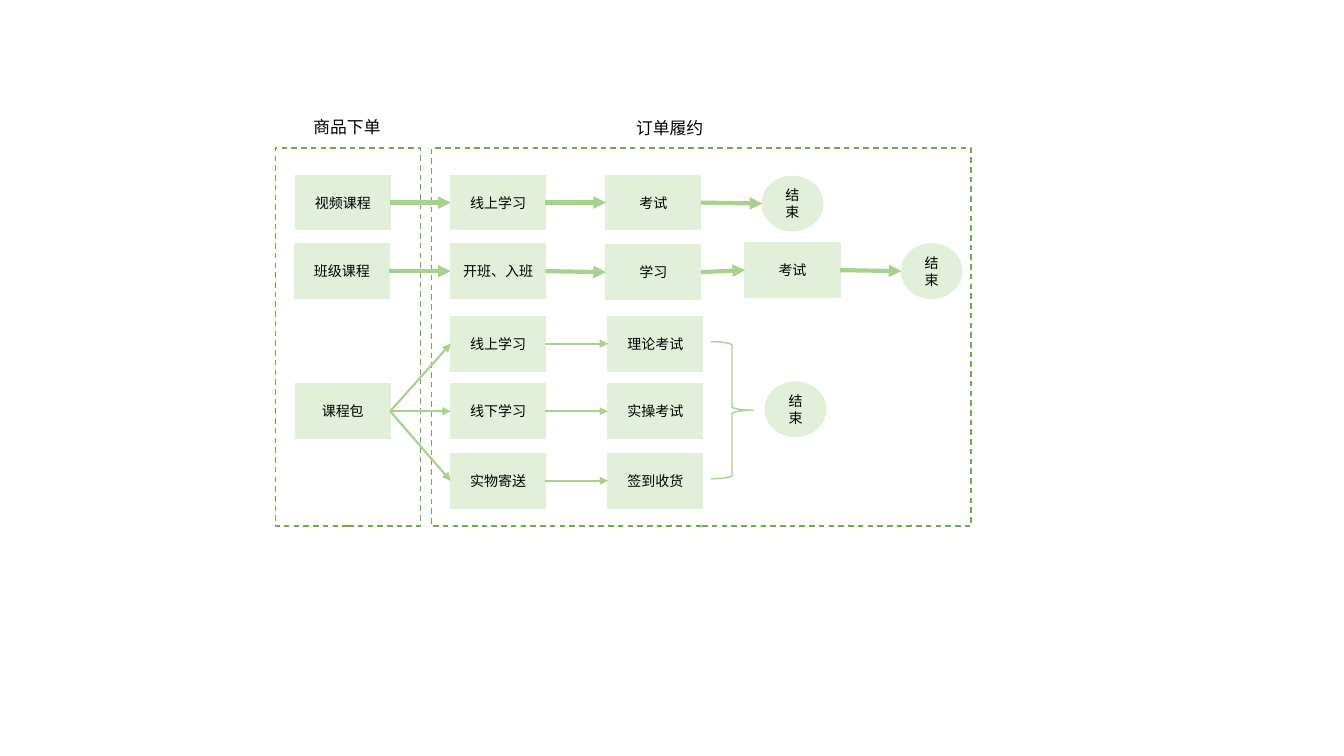
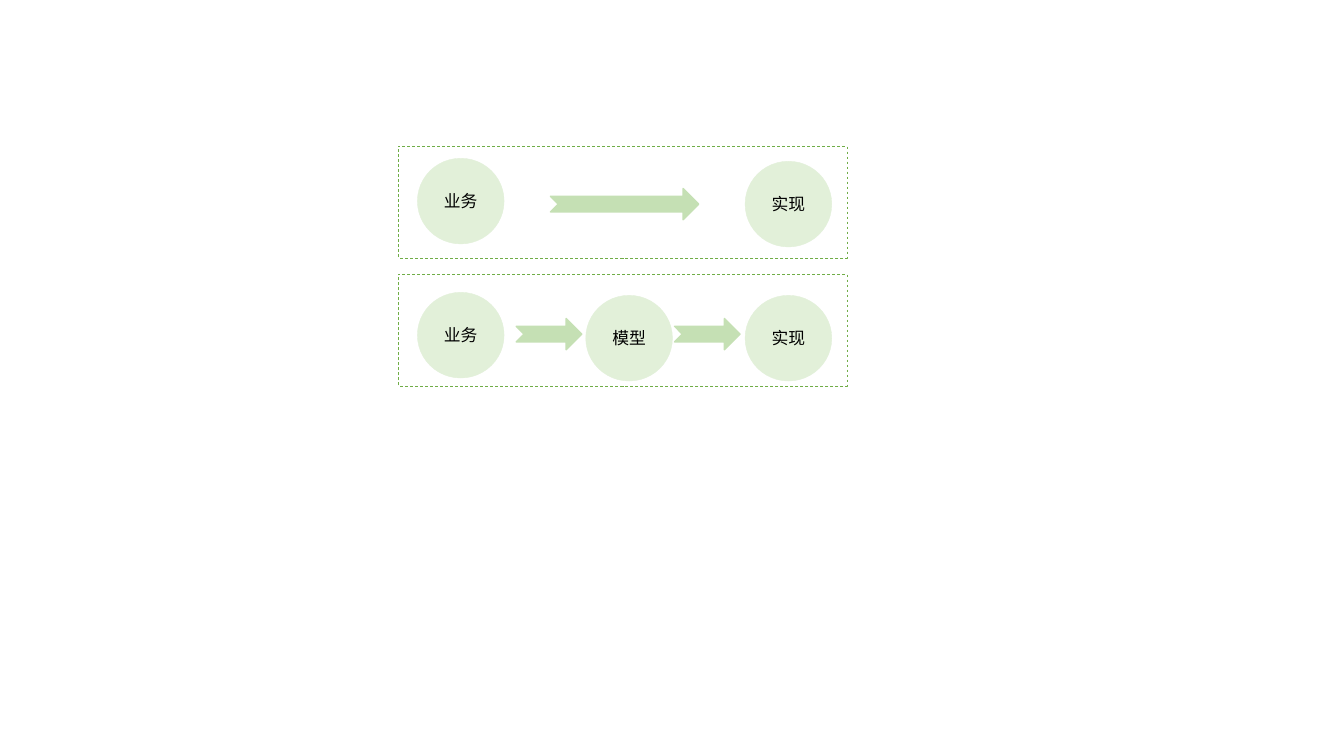
from itertools import pairwise

from lxml.etree import SubElement
from pptx import Presentation
from pptx.dml.color import RGBColor
from pptx.enum.dml import MSO_LINE
from pptx.enum.shapes import MSO_CONNECTOR, MSO_SHAPE
from pptx.enum.text import MSO_ANCHOR, MSO_AUTO_SIZE, PP_ALIGN
from pptx.oxml.ns import qn
from pptx.util import Inches, Pt

FONT = "Noto Sans CJK SC"
WHITE, BLACK = "FFFFFF", "000000"
FRAME_GREEN, LINE_GREEN = "70AD47", "A9D18E"
NODE_GREEN, ARROW_GREEN = "E2F0D9", "C5E0B4"
BOX_SIZE, END_SIZE, CIRCLE_SIZE = (0.94, 0.54), (0.6, 0.54), (0.86, 0.85)


def rgb(value):
    """Return the colour for a hex string."""
    return RGBColor.from_string(value)


def add_label(frame, text, size):
    """Write one run into the first paragraph of a text frame."""
    run = frame.paragraphs[0].add_run()
    run.text = text
    run.font.size = Pt(size)
    run.font.name = FONT
    run.font.color.rgb = rgb(BLACK)
    SubElement(run.font._element, qn("a:ea"), typeface=FONT)


def add_figure(slide, kind, position, size, fill, line, weight):
    """Add a flat preset shape with the given fill and outline."""
    figure = slide.shapes.add_shape(kind, *map(Inches, (*position, *size)))
    figure.shadow.inherit = False
    if fill:
        figure.fill.solid()
        figure.fill.fore_color.rgb = rgb(fill)
    else:
        figure.fill.background()
    figure.line.color.rgb = rgb(line)
    figure.line.width = Pt(weight)
    return figure


def add_frame(slide, position, size, weight):
    """Add a dashed frame around a stage."""
    frame = add_figure(slide, MSO_SHAPE.RECTANGLE, position, size,
                       WHITE, FRAME_GREEN, weight)
    frame.line.dash_style = MSO_LINE.DASH


def add_node(slide, kind, text, position, size, font_size=10, weight=1):
    """Add a pale green shape with a centred label."""
    node = add_figure(slide, kind, position, size, NODE_GREEN, NODE_GREEN, weight)
    frame = node.text_frame
    frame.word_wrap = True
    frame.vertical_anchor = MSO_ANCHOR.MIDDLE
    frame.paragraphs[0].alignment = PP_ALIGN.CENTER
    add_label(frame, text, font_size)
    return node


def add_box(slide, text, left, top):
    """Add a rectangular process step."""
    return add_node(slide, MSO_SHAPE.RECTANGLE, text, (left, top), BOX_SIZE)


def add_end(slide, left, top):
    """Add the round end of a process."""
    return add_node(slide, MSO_SHAPE.OVAL, "结束", (left, top), END_SIZE)


def add_circle(slide, text, left, top):
    """Add a large round concept."""
    return add_node(slide, MSO_SHAPE.OVAL, text, (left, top), CIRCLE_SIZE, 12, 0.25)


def add_block_arrow(slide, left, top, width):
    """Add a notched block arrow pointing right."""
    add_figure(slide, MSO_SHAPE.NOTCHED_RIGHT_ARROW, (left, top), (width, 0.31),
               ARROW_GREEN, ARROW_GREEN, 1)


def join(slide, source, target, weight):
    """Connect the right side of one node to the left side of another."""
    ends = (source.left + source.width, source.top + source.height // 2,
            target.left, target.top + target.height // 2)
    link = slide.shapes.add_connector(MSO_CONNECTOR.STRAIGHT, *ends)
    left_site = 2 if target.auto_shape_type == MSO_SHAPE.OVAL else 1
    link.begin_connect(source, 3)
    link.end_connect(target, left_site)
    link.begin_x, link.begin_y, link.end_x, link.end_y = ends
    link.line.color.rgb = rgb(LINE_GREEN)
    link.line.width = Pt(weight)
    SubElement(link.line._get_or_add_ln(), qn("a:tailEnd"), type="triangle")
    SubElement(link._element.spPr, qn("a:effectLst"))


def add_heading(slide, text, left, top):
    """Add the heading above a stage."""
    box = slide.shapes.add_textbox(*map(Inches, (left, top, 0.88, 0.3)))
    box.text_frame.word_wrap = False
    box.text_frame.auto_size = MSO_AUTO_SIZE.SHAPE_TO_FIT_TEXT
    add_label(box.text_frame, text, 12)


def build_order_flow(slide):
    """Draw the flow from placing an order to fulfilling it."""
    add_frame(slide, (4.28, 1.47), (5.35, 3.75), 1)
    add_frame(slide, (2.73, 1.47), (1.44, 3.75), 1)
    add_heading(slide, "商品下单", 3.01, 1.11)
    add_heading(slide, "订单履约", 6.21, 1.12)

    courses = [
        ([("视频课程", 2.93, 1.74), ("线上学习", 4.47, 1.74), ("考试", 6.01, 1.74)],
         (7.56, 1.75)),
        ([("班级课程", 2.92, 2.42), ("开班、入班", 4.47, 2.42), ("学习", 6.01, 2.43),
          ("考试", 7.39, 2.41)], (8.94, 2.42)),
    ]
    for steps, end in courses:
        chain = [add_box(slide, *step) for step in steps] + [add_end(slide, *end)]
        for source, target in pairwise(chain):
            join(slide, source, target, 3)

    bundle = add_box(slide, "课程包", 2.93, 3.81)
    branches = [("线上学习", "理论考试", 3.14), ("线下学习", "实操考试", 3.81),
                ("实物寄送", "签到收货", 4.5)]
    for activity, outcome, top in branches:
        chain = [bundle, add_box(slide, activity, 4.47, top),
                 add_box(slide, outcome, 6.03, top)]
        for source, target in pairwise(chain):
            join(slide, source, target, 1.5)
    add_figure(slide, MSO_SHAPE.RIGHT_BRACE, (7.05, 3.39), (0.42, 1.36),
               None, LINE_GREEN, 1)
    add_end(slide, 7.59, 3.79)


def build_model_comparison(slide):
    """Draw the direct path above the path through a model."""
    for frame_top, circle_top in ((1.45, 1.57), (2.72, 2.9)):
        add_frame(slide, (3.95, frame_top), (4.45, 1.11), 0.5)
        add_circle(slide, "业务", 4.14, circle_top)
        add_circle(slide, "实现", 7.39, circle_top + 0.03)
    add_circle(slide, "模型", 5.81, 2.93)
    for arrow in ((5.46, 1.87, 1.47), (5.12, 3.16, 0.65), (6.69, 3.16, 0.65)):
        add_block_arrow(slide, *arrow)


def main():
    """Build and save the presentation."""
    deck = Presentation()
    deck.slide_width, deck.slide_height = Inches(13.33), Inches(7.5)
    blank = deck.slide_layouts[6]
    for build in (build_order_flow, build_model_comparison):
        build(deck.slides.add_slide(blank))
    deck.save("out.pptx")


if __name__ == "__main__":
    main()
